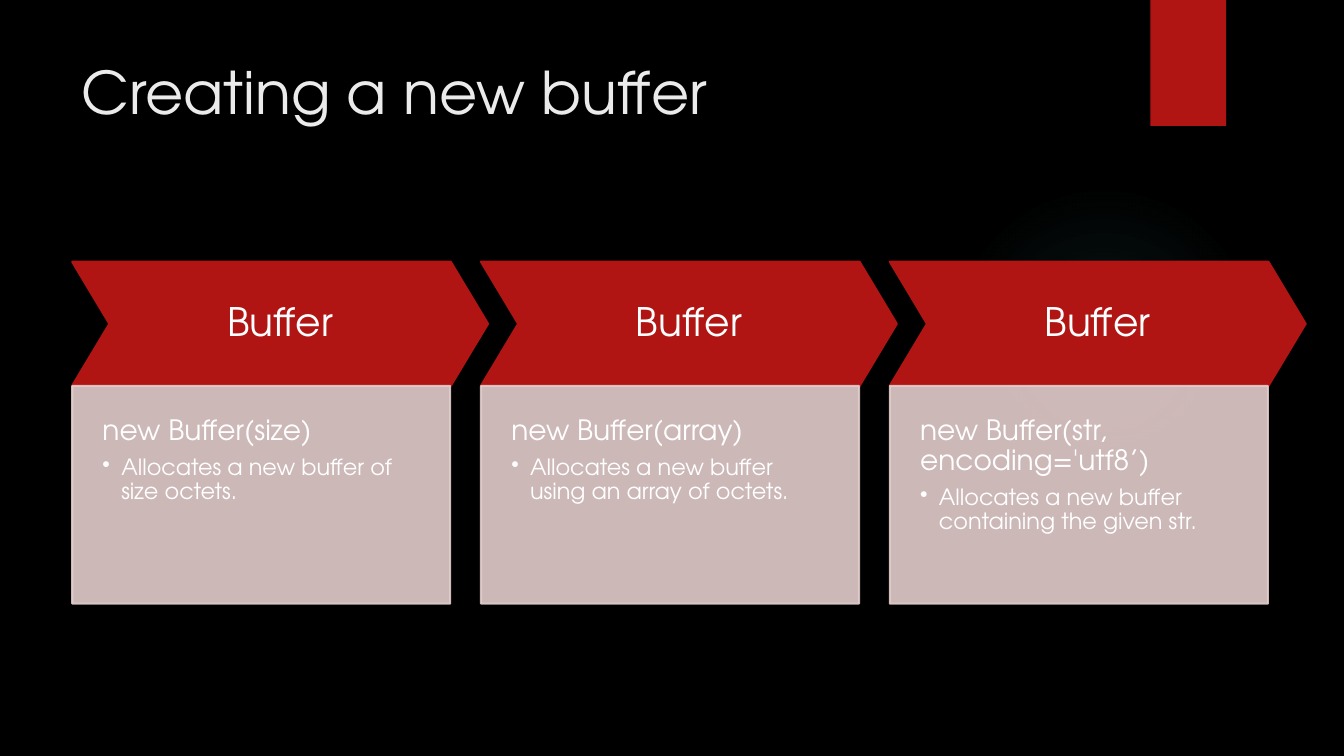
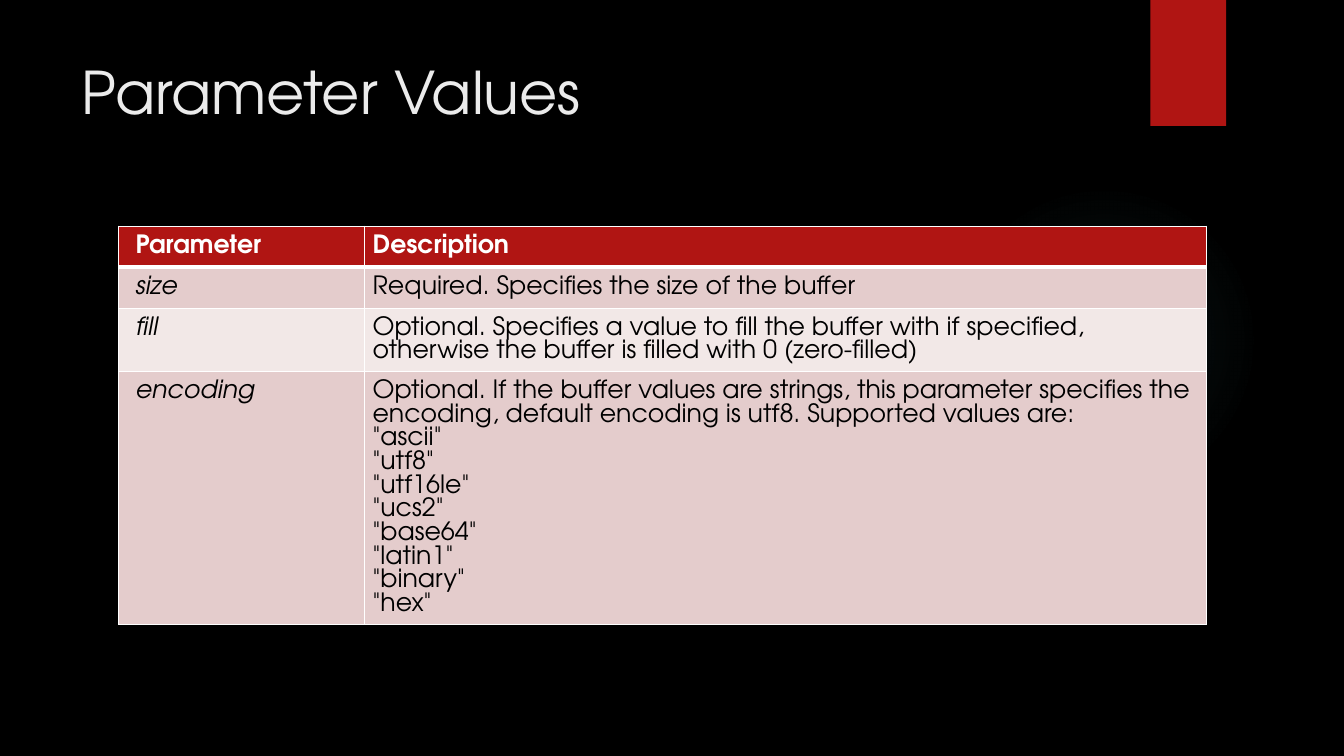
"""Build two dark slides on creating a buffer and on its parameter values."""
from lxml import etree
from pptx import Presentation
from pptx import util as u
from pptx.dml import color
from pptx.enum import shapes, text
from pptx.oxml import parse_xml
from pptx.oxml import ns

FONT = "TeX Gyre Adventor"
BLACK, WHITE, TITLE = "000000", "FFFFFF", "EBEBEB"
RED, ROSE, PALE, TEAL = "B01513", "E4CCCC", "F2E8E7", "50B9C1"


def paint(fill, hex_color):
    fill.solid()
    fill.fore_color.rgb = color.RGBColor.from_string(hex_color)


def write(para, words, size, hex_color, bold=False, italic=False):
    para.text = words
    for span in para.runs:
        span.font.name = FONT
        span.font.size = u.Pt(size)
        span.font.bold = bold
        span.font.italic = italic
        paint(span.font.fill, hex_color)


deck = Presentation()
deck.slide_width, deck.slide_height = u.Pt(960), u.Pt(540)
paint(deck.slide_master.background.fill, BLACK)

stops = "".join(
    f'<a:gs pos="{place * 1000}"><a:srgbClr val="{TEAL}"><a:alpha val="{alpha * 1000}"/></a:srgbClr></a:gs>'
    for place, alpha in [(0, 7), (36, 6), (69, 0), (100, 0)]
)
glow_fill = (
    f'<a:gradFill {ns.nsdecls("a")}><a:gsLst>{stops}</a:gsLst><a:path path="circle">'
    '<a:fillToRect l="50000" t="50000" r="50000" b="50000"/></a:path></a:gradFill>'
)

pages = []
for heading in ["Creating a new buffer", "Parameter Values"]:
    page = deck.slides.add_slide(deck.slide_layouts[6])
    pages.append(page)

    glow = page.shapes.add_shape(shapes.MSO_SHAPE.OVAL, u.Pt(677.5), u.Pt(131.8), u.Pt(221.8), u.Pt(221.8))
    glow.shadow.inherit = False
    glow.line.fill.background()
    glow.element.spPr.insert(2, parse_xml(glow_fill))

    ribbon = page.shapes.add_shape(shapes.MSO_SHAPE.RECTANGLE, u.Pt(821.8), 0, u.Pt(54), u.Pt(90))
    ribbon.shadow.inherit = False
    ribbon.line.fill.background()
    paint(ribbon.fill, RED)

    title = page.shapes.add_textbox(u.Pt(51), u.Pt(36), u.Pt(741), u.Pt(110))
    title.text_frame.word_wrap = True
    write(title.text_frame.paragraphs[0], heading, 42, TITLE)

buffer_page, parameter_page = pages

constructors = [
    ("new Buffer(size)", "Allocates a new buffer of size octets."),
    ("new Buffer(array)", "Allocates a new buffer using an array of octets."),
    ("new Buffer(str, encoding='utf8’)", "Allocates a new buffer containing the given str."),
]
for index, (call, purpose) in enumerate(constructors):
    left = u.Pt(51.6 + 292 * index)
    chevron = buffer_page.shapes.add_shape(shapes.MSO_SHAPE.CHEVRON, left, u.Pt(187), u.Pt(297), u.Pt(88.6))
    chevron.adjustments[0] = 0.3
    card = buffer_page.shapes.add_shape(shapes.MSO_SHAPE.RECTANGLE, left, u.Pt(275.6), u.Pt(270), u.Pt(155.6))

    for box, fill, inset, bottom, anchor in [
        (chevron, RED, 10.8, 10.8, text.MSO_ANCHOR.MIDDLE),
        (card, ROSE, 21.6, 42.5, text.MSO_ANCHOR.TOP),
    ]:
        box.shadow.inherit = False
        paint(box.fill, fill)
        paint(box.line.fill, fill)
        box.line.width = u.Pt(1.5)
        frame = box.text_frame
        frame.word_wrap = True
        frame.vertical_anchor = anchor
        frame.margin_left = frame.margin_right = frame.margin_top = u.Pt(inset)
        frame.margin_bottom = u.Pt(bottom)

    for tint in card.element.xpath("./p:spPr//a:srgbClr"):
        etree.SubElement(tint, ns.qn("a:alpha"), val="90000")

    label = chevron.text_frame.paragraphs[0]
    signature = card.text_frame.paragraphs[0]
    bullet = card.text_frame.add_paragraph()
    for para, words, size, gap, align in [
        (label, "Buffer", 28, 9.8, text.PP_ALIGN.CENTER),
        (signature, call, 20, 7, text.PP_ALIGN.LEFT),
        (bullet, purpose, 16, 2.4, text.PP_ALIGN.LEFT),
    ]:
        write(para, words, size, WHITE)
        para.alignment = align
        para.line_spacing = 0.9
        para.space_after = u.Pt(gap)

    bullet.level = 1
    settings = bullet._p.get_or_add_pPr()
    settings.set("marL", str(u.Pt(13.5)))
    settings.set("indent", str(-u.Pt(13.5)))
    etree.SubElement(settings, ns.qn("a:buChar"), char="•")

encodings = ["ascii", "utf8", "utf16le", "ucs2", "base64", "latin1", "binary", "hex"]
encoding_lines = [
    "Optional. If the buffer values are strings, this parameter specifies the encoding, "
    "default encoding is utf8. Supported values are:"
] + [f'"{name}"' for name in encodings]
rows = [
    ("Parameter", "Description"),
    ("size", "Required. Specifies the size of the buffer"),
    ("fill", "Optional. Specifies a value to fill the buffer with if specified, "
             "otherwise the buffer is filled with 0 (zero-filled)"),
    ("encoding", "\n".join(encoding_lines)),
]
row_fills = [RED, ROSE, PALE, ROSE]
row_heights = [29.3, 29.3, 45.4, 180.7]
thick_edges = [("lnB", 0), ("lnT", 1)]

table = parameter_page.shapes.add_table(4, 2, u.Pt(84.8), u.Pt(161.6), u.Pt(777), u.Pt(sum(row_heights))).table
table.columns[0].width = u.Pt(175.6)
table.columns[1].width = u.Pt(601.6)

for row, entries in enumerate(rows):
    table.rows[row].height = u.Pt(row_heights[row])
    header = row == 0
    for column, words in enumerate(entries):
        cell = table.cell(row, column)
        paint(cell.fill, row_fills[row])
        cell.margin_left = u.Pt(5.8 if column else 12)
        cell.margin_right = cell.margin_top = cell.margin_bottom = u.Pt(5.8)
        para = cell.text_frame.paragraphs[0]
        write(para, words, 18, WHITE if header else BLACK, bold=header, italic=not header and column == 0)
        para.line_spacing = u.Pt(16.9)
        for order, edge in enumerate(["lnL", "lnR", "lnT", "lnB"]):
            width = u.Pt(3 if (edge, row) in thick_edges else 1)
            border = parse_xml(
                f'<a:{edge} {ns.nsdecls("a")} w="{width}"><a:solidFill>'
                f'<a:srgbClr val="{WHITE}"/></a:solidFill></a:{edge}>'
            )
            cell._tc.get_or_add_tcPr().insert(order, border)

deck.save("out.pptx")
